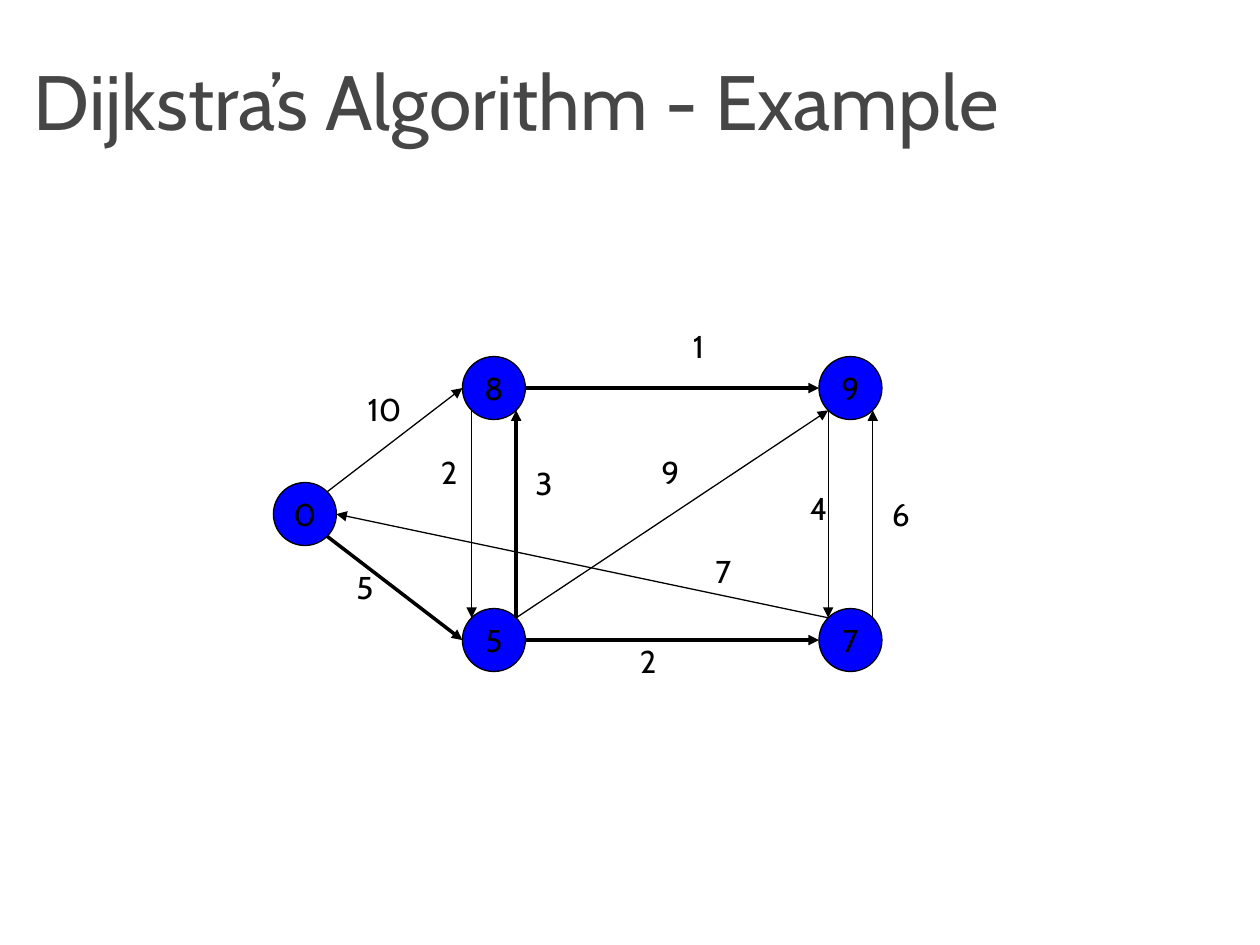
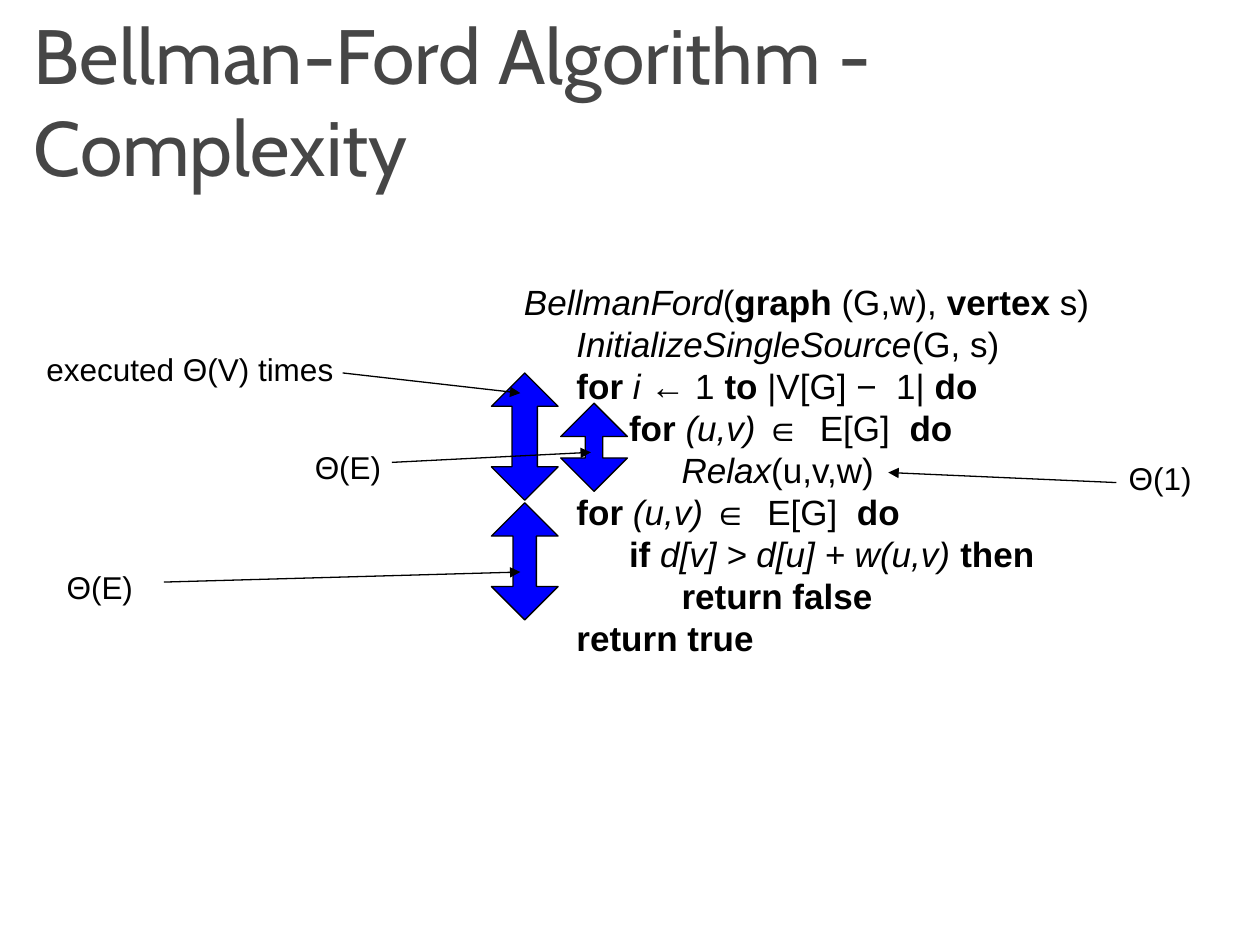
from pptx import Presentation
from pptx.dml.color import RGBColor
from pptx.enum import shapes, text
from pptx.oxml.ns import qn
from pptx.util import Inches, Pt
from lxml import etree

BLACK, BLUE, WHITE, GREY = "000000", "0000FF", "FFFFFF", "464646"
HEADING, BODY = "Cabin", "Arial"
THIN, THICK = 0.75, 2

NODE = 0.5
DIAGONAL = NODE / 2 * 0.5 ** 0.5
SITES = {
    "left": (-NODE / 2, 0),
    "right": (NODE / 2, 0),
    "top left": (-DIAGONAL, -DIAGONAL),
    "top right": (DIAGONAL, -DIAGONAL),
    "bottom left": (-DIAGONAL, DIAGONAL),
    "bottom right": (DIAGONAL, DIAGONAL),
}
NODES = {
    "source": ("0", 0, 1),
    "lower mid": ("5", 1.5, 2),
    "upper mid": ("8", 1.5, 0),
    "lower end": ("7", 4.33, 2),
    "upper end": ("9", 4.33, 0),
}
EDGES = [
    ("source", "top right", "upper mid", "left", THIN),
    ("upper mid", "right", "upper end", "left", THICK),
    ("lower mid", "right", "lower end", "left", THICK),
    ("source", "bottom right", "lower mid", "left", THICK),
    ("lower mid", "top right", "upper end", "bottom left", THIN),
    ("lower end", "top left", "source", "right", THIN),
    ("lower mid", "top right", "upper mid", "bottom right", THICK),
    ("upper mid", "bottom left", "lower mid", "top left", THIN),
    ("upper end", "bottom left", "lower end", "top left", THIN),
    ("lower end", "top right", "upper end", "bottom right", THIN),
]
WEIGHTS = [
    ("10", 0.65, 0.22), ("1", 3.23, -0.28), ("5", 0.56, 1.63),
    ("2", 2.81, 2.22), ("6", 4.81, 1.05), ("4", 4.16, 1),
    ("9", 2.98, 0.72), ("7", 3.41, 1.5), ("2", 1.23, 0.72),
    ("3", 1.98, 0.8),
]

CODE = [
    (0, [("BellmanFord", "i"), ("(", ""), ("graph ", "b"), ("(G,w), ", ""),
         ("vertex ", "b"), ("s)", "")]),
    (1, [("InitializeSingleSource", "i"), ("(G, s)", "")]),
    (1, [("for ", "b"), ("i ", "i"), ("← 1 ", ""), ("to ", "b"),
         ("|V[G] −  1| ", ""), ("do", "b")]),
    (2, [("for ", "b"), ("(u,v) ", "i"), ("∈  E[G] ", ""), (" do", "b")]),
    (3, [("Relax", "i"), ("(u,v,w)", "")]),
    (1, [("for ", "b"), ("(u,v) ", "i"), ("∈  E[G] ", ""), (" do", "b")]),
    (2, [("if ", "b"), ("d[v] > d[u] + w(u,v) ", "i"), ("then", "b")]),
    (3, [("return false", "b")]),
    (1, [("return true", "b")]),
]
SPANS = [(0, 1.03, 0.93, 0.35), (0, 0, 1.01, 0.38), (0.55, 0.24, 0.7, 0.26)]
COSTS = [
    ("executed Θ(V) times", 0.27, 2.73, 3.23, (2.72, 2.96), (4.13, 3.12)),
    ("Θ(E)", 2.4, 3.51, 0.89, (3.11, 3.67), (4.69, 3.59)),
    ("Θ(E)", 0.43, 4.46, 0.89, (1.3, 4.62), (4.13, 4.54)),
    ("Θ(1)", 8.86, 3.59, 0.86, (8.86, 3.83), (7.05, 3.75)),
]


def rgb(color):
    return RGBColor.from_string(color)


def set_font(p, name, size, color=BLACK):
    p.font.name = name
    p.font.size = Pt(size)
    p.font.color.rgb = rgb(color)


def add_text(s, content, x, y, w, h, font, size=18, color=BLACK):
    sp = s.shapes.add_textbox(Inches(x), Inches(y), Inches(w), Inches(h))
    tf = sp.text_frame
    tf.word_wrap = True
    p = tf.paragraphs[0]
    p.text = content
    set_font(p, font, size, color)
    return tf


def add_solid(s, kind, x, y, w, h):
    sp = s.shapes.add_shape(kind, Inches(x), Inches(y), Inches(w), Inches(h))
    sp.shadow.inherit = False
    sp.fill.solid()
    sp.fill.fore_color.rgb = rgb(BLUE)
    sp.line.color.rgb = rgb(BLACK)
    sp.line.width = Pt(THIN)
    return sp


def add_arrow(s, start, end, width=THIN):
    line = s.shapes.add_connector(
        shapes.MSO_CONNECTOR.STRAIGHT, *map(Inches, (*start, *end)))
    line.line.color.rgb = rgb(BLACK)
    line.line.width = Pt(width)
    etree.SubElement(line.line._get_or_add_ln(), qn("a:tailEnd"), type="triangle")
    etree.SubElement(line._element.spPr, qn("a:effectLst"))


def add_titled_slide(prs, title):
    s = prs.slides.add_slide(prs.slide_layouts[6])
    tf = add_text(s, title, 0.17, 0.25, 9.67, 1.08, HEADING, 44, GREY)
    tf.vertical_anchor = text.MSO_ANCHOR.MIDDLE
    return s


def add_node(s, label, x, y):
    sp = add_solid(s, shapes.MSO_SHAPE.FLOWCHART_CONNECTOR, x, y, NODE, NODE)
    tf = sp.text_frame
    tf.word_wrap = False
    tf.margin_left = tf.margin_right = 0
    tf.vertical_anchor = text.MSO_ANCHOR.MIDDLE
    p = tf.paragraphs[0]
    p.text = label
    p.alignment = text.PP_ALIGN.CENTER
    set_font(p, HEADING, 18)


def add_graph(s, x, y):
    def site_point(name, site):
        _, node_x, node_y = NODES[name]
        dx, dy = SITES[site]
        return x + node_x + NODE / 2 + dx, y + node_y + NODE / 2 + dy

    for label, node_x, node_y in NODES.values():
        add_node(s, label, x + node_x, y + node_y)
    for tail, tail_site, head, head_site, width in EDGES:
        add_arrow(s, site_point(tail, tail_site), site_point(head, head_site), width)
    for weight, dx, dy in WEIGHTS:
        w = 0.53 if len(weight) > 1 else 0.37
        add_text(s, weight, x + dx, y + dy, w, 0.5, HEADING)


def add_code(s, x, y, w, h):
    sp = s.shapes.add_textbox(Inches(x), Inches(y), Inches(w), Inches(h))
    sp.fill.solid()
    sp.fill.fore_color.rgb = rgb(WHITE)
    tf = sp.text_frame
    tf.word_wrap = True
    for i, (level, parts) in enumerate(CODE):
        p = tf.add_paragraph() if i else tf.paragraphs[0]
        p.line_spacing = Pt(24)
        set_font(p, BODY, 20)
        pPr = p._p.get_or_add_pPr()
        pPr.set("marL", str(Inches(0.417 * level)))
        pPr.set("indent", "0")
        for content, style in parts:
            r = p.add_run()
            r.text = content
            r.font.bold = style == "b"
            r.font.italic = style == "i"


def add_spans(s, x, y):
    for dx, dy, h, head in SPANS:
        sp = add_solid(s, shapes.MSO_SHAPE.UP_DOWN_ARROW, x + dx, y + dy, 0.53, h)
        sp.adjustments[0] = 0.5
        sp.adjustments[1] = head


def add_costs(s):
    for label, x, y, w, start, end in COSTS:
        add_text(s, label, x, y, w, 0.5, BODY)
        add_arrow(s, start, end)


def main():
    prs = Presentation()
    prs.slide_width, prs.slide_height = Inches(10), Inches(7.5)

    s = add_titled_slide(prs, "Dijkstra’s Algorithm - Example")
    add_graph(s, 2.17, 2.83)

    s = add_titled_slide(prs, "Bellman-Ford Algorithm - Complexity")
    add_code(s, 4.06, 2.18, 4.91, 3.13)
    add_spans(s, 3.9, 2.96)
    add_costs(s)

    prs.save("out.pptx")


if __name__ == "__main__":
    main()
